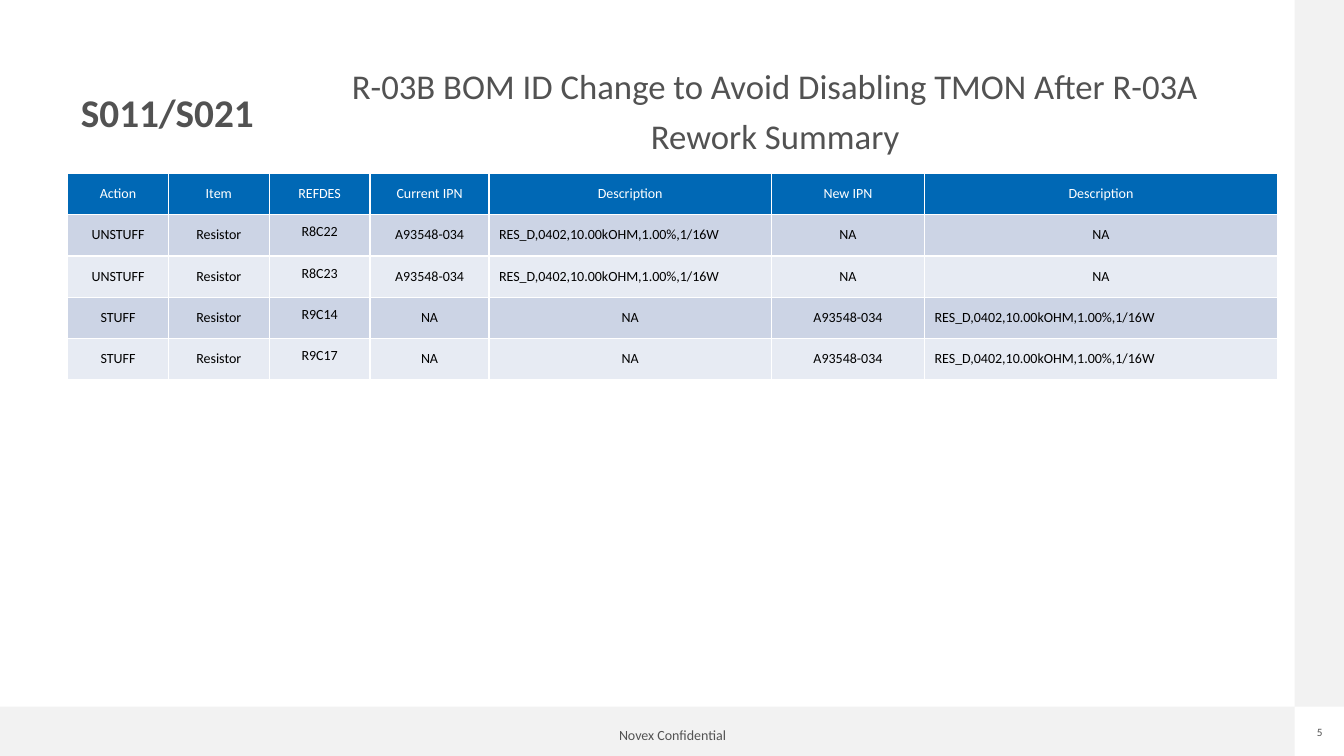
from lxml import etree
from pptx import Presentation
from pptx.dml.color import RGBColor
from pptx.enum.shapes import MSO_SHAPE
from pptx.enum.text import MSO_ANCHOR as ANCHOR, MSO_AUTO_SIZE as AUTO, PP_ALIGN as ALIGN
from pptx.oxml.ns import qn
from pptx.util import Inches, Pt

WHITE = RGBColor(0xFF, 0xFF, 0xFF)
BLACK = RGBColor(0, 0, 0)
GREY = RGBColor(0x52, 0x52, 0x52)
BAND_GREY = RGBColor(0xF2, 0xF2, 0xF2)
HEADER_BLUE = RGBColor(0x00, 0x68, 0xB5)
ROW_DARK = RGBColor(0xCC, 0xD4, 0xE5)
ROW_LIGHT = RGBColor(0xE7, 0xEB, 0xF3)

W, H, BAND = 13.33, 7.5, 0.49
TITLE_LEFT, TITLE_TOP, TITLE_W, TITLE_H = 0.62, 0.62, 2.08, 1.04
COLUMNS = [1, 1, 1, 1.18, 2.8, 1.52, 3.5]
ROW_H = 0.41
REFDES = 2
RES = "RES_D,0402,10.00kOHM,1.00%,1/16W"
IPN = "A93548-034"
ROWS = [
    ["Action", "Item", "REFDES", "Current IPN", "Description", "New IPN", "Description"],
    ["UNSTUFF", "Resistor", "R8C22", IPN, RES, "NA", "NA"],
    ["UNSTUFF", "Resistor", "R8C23", IPN, RES, "NA", "NA"],
    ["STUFF", "Resistor", "R9C14", "NA", "NA", IPN, RES],
    ["STUFF", "Resistor", "R9C17", "NA", "NA", IPN, RES],
]


def add_text(p, text, size, color, align=ALIGN.CENTER, spacing=0.9, before=0, bold=False):
    p.alignment, p.line_spacing, p.space_before = align, spacing, Pt(before)
    r = p.add_run()
    r.text = text
    r.font.name, r.font.size, r.font.bold = "Calibri", Pt(size), bold
    r.font.color.rgb = color


def set_frame(sp, wrap=True, margin=0):
    tf = sp.text_frame
    tf.auto_size, tf.word_wrap, tf.vertical_anchor = AUTO.NONE, wrap, ANCHOR.MIDDLE
    tf.margin_left = tf.margin_right = tf.margin_top = tf.margin_bottom = Inches(margin)
    return tf


prs = Presentation()
prs.slide_width, prs.slide_height = Inches(W), Inches(H)
s = prs.slides.add_slide(prs.slide_layouts[5])

# Grey bands along the bottom and the right edge
for left, top, width, height in [(0, H - BAND, W - BAND, BAND), (W - BAND, 0, BAND, H - BAND)]:
    band = s.shapes.add_shape(MSO_SHAPE.RECTANGLE, *map(Inches, (left, top, width, height)))
    band.shadow.inherit = False
    band.fill.solid()
    band.fill.fore_color.rgb = BAND_GREY
    band.line.fill.background()

# Footer and page number
footer = s.shapes.add_textbox(Inches(6.02), Inches(7.18), Inches(1.3), Inches(0.25))
add_text(set_frame(footer, wrap=False, margin=0.05).paragraphs[0],
         "Novex Confidential", 10, GREY, before=22.5)
page = s.shapes.add_textbox(Inches(13.02), Inches(7.2), Inches(0.14), Inches(0.13))
add_text(set_frame(page, wrap=False).paragraphs[0], "5", 8, GREY, spacing=1.0)

# Title
title = s.shapes.title
title.left, title.top = Inches(TITLE_LEFT), Inches(TITLE_TOP)
title.width, title.height = Inches(TITLE_W), Inches(TITLE_H)
add_text(set_frame(title).paragraphs[0], "S011/S021", 28, GREY, bold=True)

# Rework table
frame = s.shapes.add_table(len(ROWS), len(COLUMNS), Inches(0.67), Inches(1.72),
                           Inches(sum(COLUMNS)), Inches(ROW_H * len(ROWS)))
table = frame.table
for column, width in zip(table.columns, COLUMNS):
    column.width = Inches(width)
for i, row in enumerate(ROWS):
    table.rows[i].height = Inches(ROW_H)
    fill = HEADER_BLUE if i == 0 else ROW_DARK if i % 2 else ROW_LIGHT
    for j, text in enumerate(row):
        cell = table.cell(i, j)
        cell.vertical_anchor = ANCHOR.MIDDLE
        if i and j == REFDES:
            cell.vertical_anchor = ANCHOR.TOP
            cell.margin_top = cell.margin_bottom = Inches(0.1)
            cell.margin_left = cell.margin_right = Inches(0.1)
        add_text(cell.text_frame.paragraphs[0], text, 10, BLACK if i else WHITE,
                 ALIGN.LEFT if text == RES else ALIGN.CENTER, before=22.5)
        # White cell borders
        tc_pr = cell._tc.get_or_add_tcPr()
        for side in ("lnL", "lnR", "lnT", "lnB"):
            ln = etree.SubElement(tc_pr, qn("a:" + side), w=str(Pt(1)))
            line_fill = etree.SubElement(ln, qn("a:solidFill"))
            etree.SubElement(line_fill, qn("a:srgbClr"), val=str(WHITE))
        cell.fill.solid()
        cell.fill.fore_color.rgb = fill

# Summary heading beside the title
heading = s.shapes.add_textbox(Inches(2.71), Inches(TITLE_TOP), Inches(9.96), Inches(TITLE_H))
tf = set_frame(heading)
for i, text in enumerate(["R-03B BOM ID Change to Avoid Disabling TMON After R-03A",
                          "Rework Summary"]):
    p = tf.add_paragraph() if i else tf.paragraphs[0]
    add_text(p, text, 24.8, GREY, spacing=0.8, before=12)

prs.save("out.pptx")
